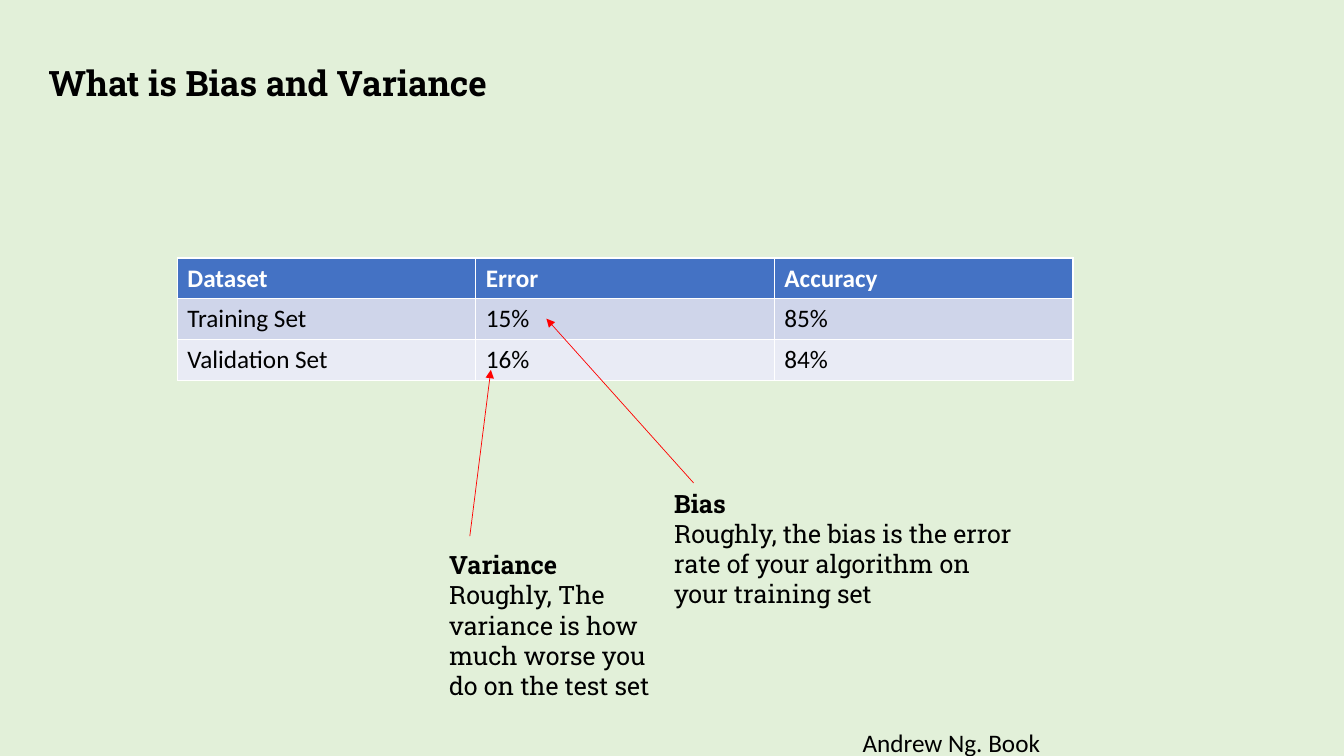
from dataclasses import dataclass

import lxml.etree
import pptx
import pptx.dml.color
import pptx.enum.shapes
import pptx.enum.text
import pptx.oxml.ns
import pptx.util
from pptx.util import Cm


@dataclass(frozen=True)
class Theme:
    """Colours, fonts and type sizes of the slide."""
    background: str = "E2F0D9"
    header: str = "4472C4"
    bands: tuple = ("CFD5EA", "E9EBF5")
    text: str = "000000"
    header_text: str = "FFFFFF"
    arrow: str = "FF0000"
    slab: str = "Roboto Slab"
    plain: str = "Calibri"
    title_size: int = 25
    text_size: int = 18


theme = Theme()
colour = pptx.dml.color.RGBColor.from_string


def add_run(para, text, font, size=theme.text_size, bold=False, ink=theme.text):
    """Add one formatted run to a paragraph."""
    span = para.add_run()
    span.text = text
    span.font.name = font
    span.font.size = pptx.util.Pt(size)
    span.font.bold = bold
    span.font.color.rgb = colour(ink)


def add_text_box(page, left, top, width, height):
    """Add a wrapping text box, lengths in centimetres, and return its frame."""
    box = page.shapes.add_textbox(Cm(left), Cm(top), Cm(width), Cm(height))
    box.text_frame.word_wrap = True
    return box.text_frame


deck = pptx.Presentation()
deck.slide_width, deck.slide_height = Cm(33.87), Cm(19.05)
page = deck.slides.add_slide(deck.slide_layouts.get_by_name("Title Only"))
page.background.fill.solid()
page.background.fill.fore_color.rgb = colour(theme.background)

# Title
title = page.shapes.title
title.left, title.top, title.width, title.height = Cm(0.97), Cm(1.42), Cm(16.18), Cm(1.32)
title.text_frame.vertical_anchor = pptx.enum.text.MSO_ANCHOR.TOP
title_para = title.text_frame.paragraphs[0]
title_para.alignment = pptx.enum.text.PP_ALIGN.LEFT
add_run(title_para, "What is Bias and Variance", theme.slab, theme.title_size, bold=True)

# Results table; its white rules come from the default table style
results = [
    ("Dataset", "Error", "Accuracy"),
    ("Training Set", "15%", "85%"),
    ("Validation Set", "16%", "84%"),
]
table = page.shapes.add_table(
    len(results), len(results[0]), Cm(4.47), Cm(6.5), Cm(22.57), Cm(3.09)).table
for row_index, values in enumerate(results):
    is_header = row_index == 0
    fill = theme.header if is_header else theme.bands[(row_index - 1) % 2]
    ink = theme.header_text if is_header else theme.text
    for column_index, value in enumerate(values):
        cell = table.cell(row_index, column_index)
        cell.fill.solid()
        cell.fill.fore_color.rgb = colour(fill)
        add_run(cell.text_frame.paragraphs[0], value, theme.plain, bold=is_header, ink=ink)

# Definitions, each with an arrow to its error rate
definitions = [
    ("Bias", "Roughly, the bias is the error rate of your algorithm on your training set",
     (16.74, 12.17, 9.09, 3.33), (17.48, 12.17, 13.77, 8.03)),
    ("Variance", "Roughly, The variance is how much worse you do on the test set",
     (11.07, 13.72, 6.07, 4.11), (11.84, 13.51, 12.37, 9.32)),
]
for term, meaning, place, ends in definitions:
    arrow = page.shapes.add_connector(
        pptx.enum.shapes.MSO_CONNECTOR.STRAIGHT, *[Cm(end) for end in ends])
    arrow.line.color.rgb = colour(theme.arrow)
    arrow.line.width = pptx.util.Pt(0.5)
    head = lxml.etree.SubElement(arrow.line._get_or_add_ln(), pptx.oxml.ns.qn("a:tailEnd"))
    head.set("type", "triangle")
    lxml.etree.SubElement(arrow._element.spPr, pptx.oxml.ns.qn("a:effectLst"))

    frame = add_text_box(page, *place)
    add_run(frame.paragraphs[0], term, theme.slab, bold=True)
    add_run(frame.add_paragraph(), meaning, theme.slab)

# Source credit
credit = add_text_box(page, 21.49, 18.21, 8.31, 1.02)
add_run(credit.paragraphs[0], "Andrew Ng. Book", theme.plain)

deck.save("out.pptx")
